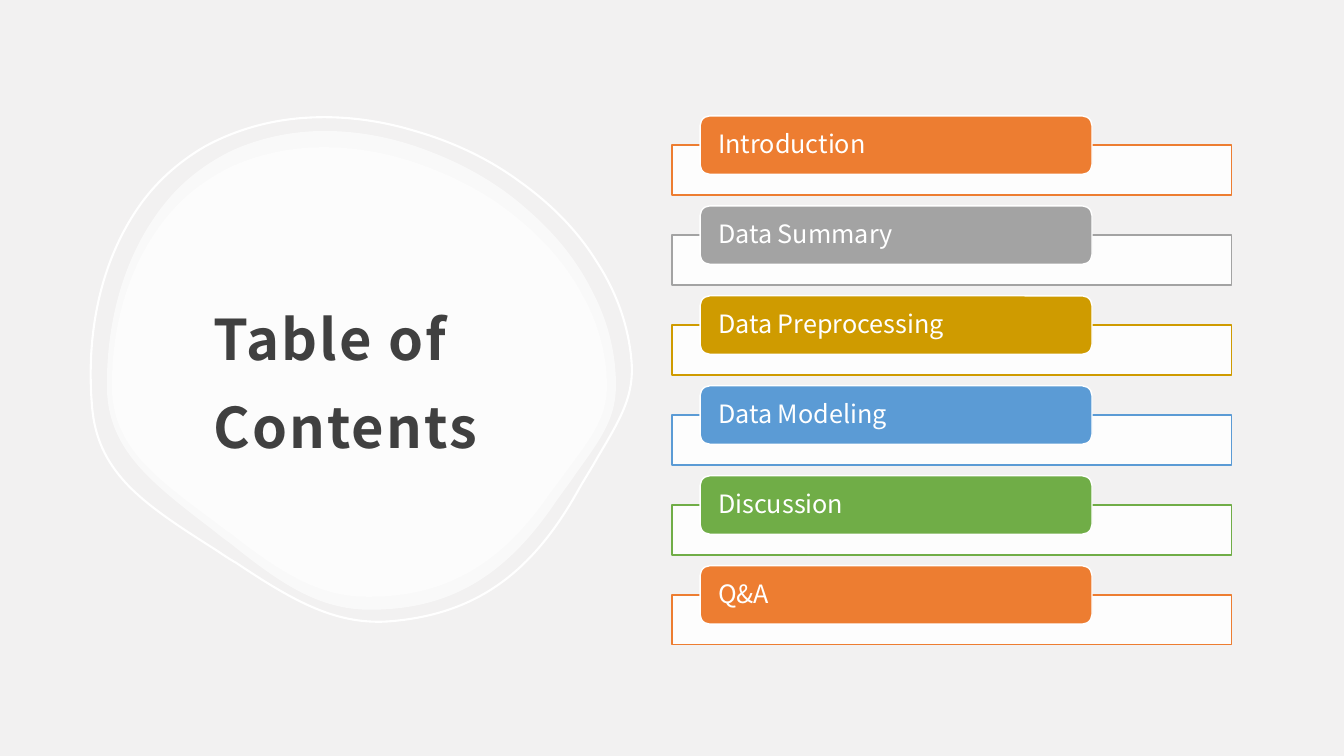
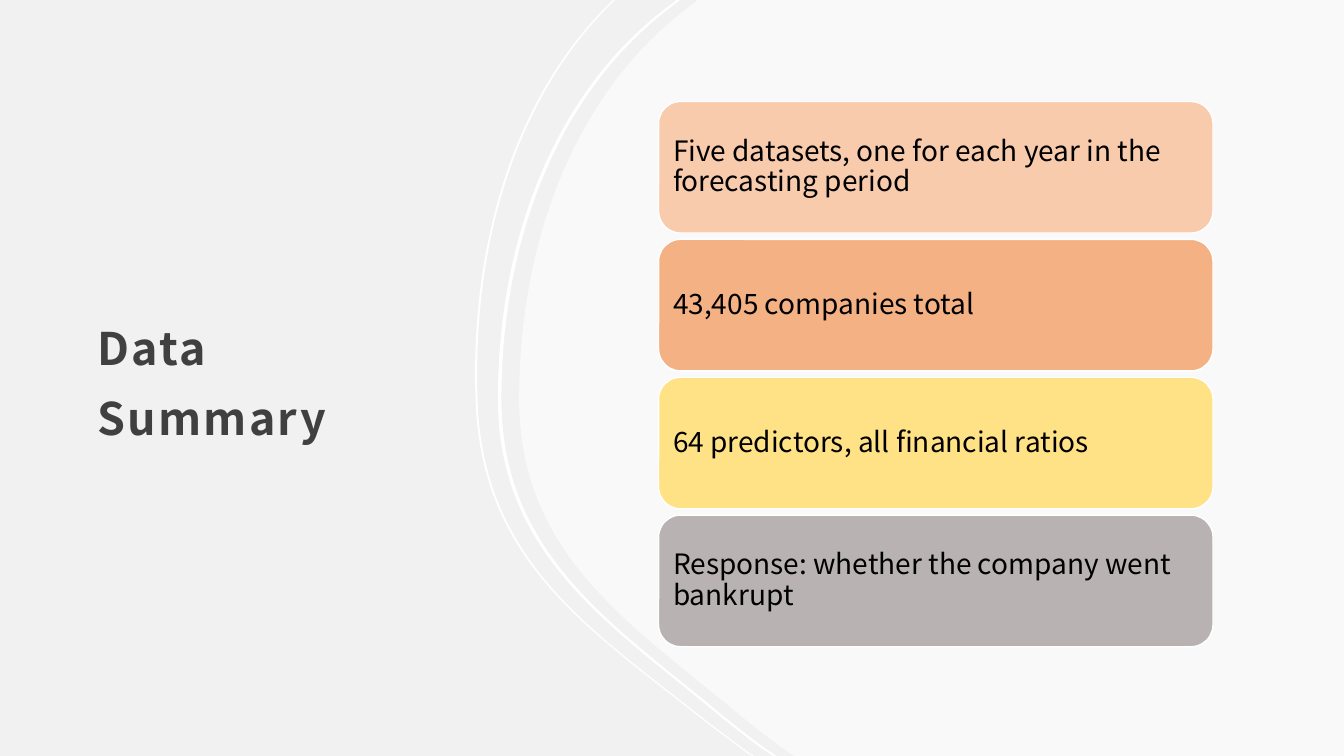
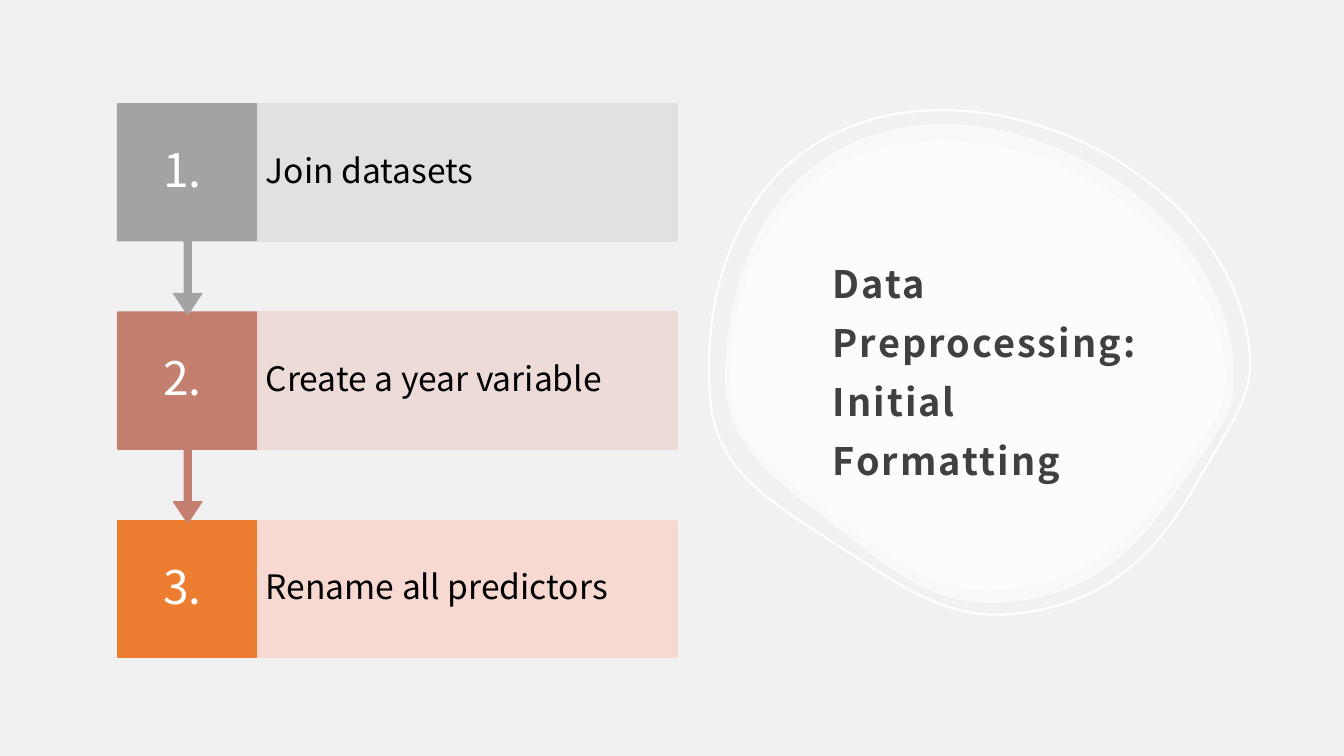
from pptx import Presentation
from pptx import util as u
from pptx.dml.color import RGBColor
from pptx.enum import shapes, text
from pptx.oxml.ns import qn
from lxml import etree

FONT = "Noto Sans CJK JP"
WHITE, INK, BLACK, PAPER = "FFFFFF", "404040", "000000", "F2F1F1"
ORANGE, GREY = "ED7D31", "A3A3A3"
KIND = shapes.MSO_SHAPE

deck = Presentation()
deck.slide_width, deck.slide_height = u.Inches(13.33), u.Inches(7.5)
# All lengths are percent of the slide: one column and one row are 1 %
COL, ROW = deck.slide_width / 100, deck.slide_height / 100


def paint(shape, fill=None, line=None, width=1, alpha=100):
    """Set fill, outline and opacity from hex strings; drop the shadow."""
    shape.shadow.inherit = False
    if fill:
        shape.fill.solid()
        shape.fill.fore_color.rgb = RGBColor.from_string(fill)
        if alpha < 100:
            tone = shape.fill._xPr.find(qn("a:solidFill"))[0]
            etree.SubElement(tone, qn("a:alpha")).set("val", str(alpha * 1000))
    else:
        shape.fill.background()
    if line:
        shape.line.color.rgb = RGBColor.from_string(line)
        shape.line.width = u.Pt(width)
    else:
        shape.line.fill.background()


def write(shape, words, size, color, pad, space=0.9, align="LEFT", title=False):
    """Put one paragraph into a shape, centred vertically."""
    frame = shape.text_frame
    frame.text = words
    frame.word_wrap = True
    frame.vertical_anchor = text.MSO_ANCHOR.MIDDLE
    frame.margin_left = frame.margin_right = u.Inches(pad[0])
    frame.margin_top, frame.margin_bottom = u.Inches(pad[1]), u.Inches(pad[2])
    para = frame.paragraphs[0]
    para.alignment = getattr(text.PP_ALIGN, align)
    para.line_spacing = space
    run = para.runs[0]
    run.font.name, run.font.size, run.font.bold = FONT, u.Pt(size), title
    run.font.color.rgb = RGBColor.from_string(color)
    if title:
        run._r.get_or_add_rPr().set("spc", "150")


# Shared background and the three blank slides
back = deck.slide_master.background.fill
back.solid()
back.fore_color.rgb = RGBColor.from_string(PAPER)
toc, data, prep = [deck.slides.add_slide(deck.slide_layouts[6]) for _ in range(3)]

# Curves: a start point, then lines (2 numbers) or Bezier pieces (6 numbers)
curves = {
    "blob": [  # drawn in a field of 5.05 by 4.75 units
        (2.16, 0),
        (1.83, 0, 1.52, 0.07, 1.25, 0.19), (1, 0.31, 0.77, 0.48, 0.59, 0.7),
        (0.21, 1.16, 0, 1.8, 0, 2.52), (0, 2.8, 0.08, 3.03, 0.26, 3.26),
        (0.45, 3.5, 0.74, 3.72, 1.04, 3.95), (1.09, 3.99, 1.15, 4.04, 1.21, 4.08),
        (1.72, 4.49, 2.1, 4.75, 2.61, 4.75), (3.39, 4.75, 3.95, 4.43, 4.46, 3.67),
        (4.53, 3.57, 4.6, 3.48, 4.66, 3.39), (4.92, 3.03, 5.05, 2.84, 5.05, 2.52),
        (5.05, 2.2, 4.97, 1.88, 4.81, 1.58), (4.66, 1.28, 4.44, 1.01, 4.16, 0.77),
        (3.89, 0.53, 3.56, 0.34, 3.22, 0.21), (2.87, 0.07, 2.51, 0, 2.16, 0)],
    "outer": [
        (45.6, 0), (45.38, 0.4), (38.4, 12.53, 34.88, 32, 35.4, 53.6),
        (35.93, 74, 43.65, 83.07, 51.53, 94.13),
        (52.95, 96.13, 54.38, 98, 55.8, 99.87), (55.95, 100)],
    "inner": [
        (50.32, 0), (50.17, 0.27), (41.7, 11.07, 37.05, 30.53, 37.05, 52.8),
        (37.05, 72.4, 44.62, 81.73, 52.35, 92.93),
        (53.77, 95.07, 55.2, 97.07, 56.62, 98.93), (57.52, 100)],
}
# Each curve as its points, and the number of points in each piece
trace, sizes = {}, {}
for name, parts in curves.items():
    trace[name] = [part[n:n + 2] for part in parts for n in range(0, len(part), 2)]
    sizes[name] = [len(part) // 2 for part in parts[1:]]

# Outlines to draw: slide, points, piece sizes, fill, line, opacity, turn
jobs = []
layers = [  # left, top, width, height, fill, line, turn
    (7.95, 17.33, 37.88, 63.33, WHITE, None, 0),
    (8.33, 19.47, 36.83, 59.47, WHITE, None, 0),
    (6.68, 15.07, 40.28, 67.33, None, WHITE, 355)]
for slide, right, down in [(toc, 0, 0), (prep, 46, -0.93)]:
    for x, y, w, h, fill, line, turn in layers:
        dots = [(x + right + px / 5.05 * w, y + down + py / 4.75 * h)
                for px, py in trace["blob"]]
        jobs.append((slide, dots, sizes["blob"], fill, line, 60, turn))

# Panel at the right of the second slide, with two thin ribbons beside it
edge = [(x + 1.58, y) for x, y in trace["inner"]] + [(100, 100), (100, 0)]
jobs.append((data, edge, sizes["inner"] + [1, 1], WHITE, None, 60, 0))
for name, thick in [("outer", 0.15), ("inner", 0.26)]:
    far = [(x + thick, y) for x, y in reversed(trace[name])]
    jobs.append((data, trace[name] + far, sizes[name] + [1] + sizes[name][::-1],
                 WHITE, None, 100, 0))

for slide, dots, counts, fill, line, alpha, turn in jobs:
    dots = [(x * COL, y * ROW) for x, y in dots]
    pen = slide.shapes.build_freeform(*dots[0], scale=1.0)
    pen.add_line_segments(dots[1:], close=True)
    shape = pen.convert_to_shape()
    # Turn each run of three points into one Bezier piece
    legs = iter(list(shape._element.iter(qn("a:lnTo"))))
    for count in counts:
        group = [next(legs) for _ in range(count)]
        if count == 3:
            bend = etree.Element(qn("a:cubicBezTo"))
            group[0].addprevious(bend)
            for leg in group:
                bend.append(leg[0])
                leg.getparent().remove(leg)
    shape.rotation = turn
    paint(shape, fill, line, 1.5, alpha)

# Titles
titles = [
    (toc, "Table of Contents", 40, 15, 27.67, 27.15, 42.8),
    (data, "Data Summary", 32, 6.38, 18.2, 22.65, 62.4),
    (prep, "Data Preprocessing: Initial Formatting", 27, 61.05, 26.75, 27.15, 42.8)]
for slide, words, size, x, y, w, h in titles:
    box = slide.shapes.add_textbox(
        *map(int, (x * COL, y * ROW, w * COL, h * ROW)))
    write(box, words, size, INK, (0.12, 0.12, 0.1), space=1.3, title=True)

# Table of contents: a label over a white strip in each row
topics = [("Introduction", ORANGE), ("Data Summary", GREY),
          ("Data Preprocessing", "CF9B00"), ("Data Modeling", "5B9BD5"),
          ("Discussion", "70AD47"), ("Q&A", ORANGE)]
for i, (words, color) in enumerate(topics):
    top = 15.33 + i * 11.9
    strip = toc.shapes.add_shape(KIND.RECTANGLE, *map(int, (
        50 * COL, (top + 3.87) * ROW, 41.63 * COL, 6.6 * ROW)))
    paint(strip, WHITE, color, alpha=90)
    label = toc.shapes.add_shape(KIND.ROUNDED_RECTANGLE, *map(int, (
        52.09 * COL, top * ROW, 29.16 * COL, 7.73 * ROW)))
    paint(label, color, WHITE)
    write(label, words, 18, WHITE, (0.15, 0, 0))

# Data summary: stacked cards
facts = [("Five datasets, one for each year in the forecasting period", "F8CBAD"),
         ("43,405 companies total", "F4B183"),
         ("64 predictors, all financial ratios", "FFE186"),
         ("Response: whether the company went bankrupt", "B8B2B2")]
for i, (words, color) in enumerate(facts):
    card = data.shapes.add_shape(KIND.ROUNDED_RECTANGLE, *map(int, (
        49 * COL, (13.42 + i * 18.24) * ROW, 41.25 * COL, 17.4 * ROW)))
    paint(card, color, WHITE)
    write(card, words, 20, BLACK, (0.08, 0.08, 0.08))

# Preprocessing steps, last one first so that each arrow tip lies on top
steps = [("Join datasets", GREY, "E0E0E0"),
         ("Create a year variable", "C47F6E", "EDD9D6"),
         ("Rename all predictors", ORANGE, "F8D7CE")]
for i, (words, dark, pale) in reversed(list(enumerate(steps))):
    last = i == len(steps) - 1
    left, top, wide, high = 8.75 * COL, (13.73 + i * 27.56) * ROW, 10.43 * COL, 18.13 * ROW
    tile = prep.shapes.add_shape(
        KIND.RECTANGLE if last else KIND.UP_ARROW_CALLOUT,
        *map(int, (left, top, wide, high if last else 27.87 * ROW)))
    if not last:
        tile.rotation = 180
        for n, share in enumerate((0.05, 0.1, 0.15, 0.65)):
            tile.adjustments[n] = share
    paint(tile, dark, dark)
    count = prep.shapes.add_textbox(*map(int, (left, top, wide, high)))
    write(count, f"{i + 1}. ", 33, WHITE, (0.1, 0.26, 0.26), align="CENTER")
    bar = prep.shapes.add_shape(KIND.RECTANGLE, *map(int, (
        left + wide, top, 31.2 * COL, high)))
    paint(bar, pale, pale, alpha=90)
    write(bar, words, 24, BLACK, (0.08, 0.33, 0.33))

deck.save("out.pptx")
